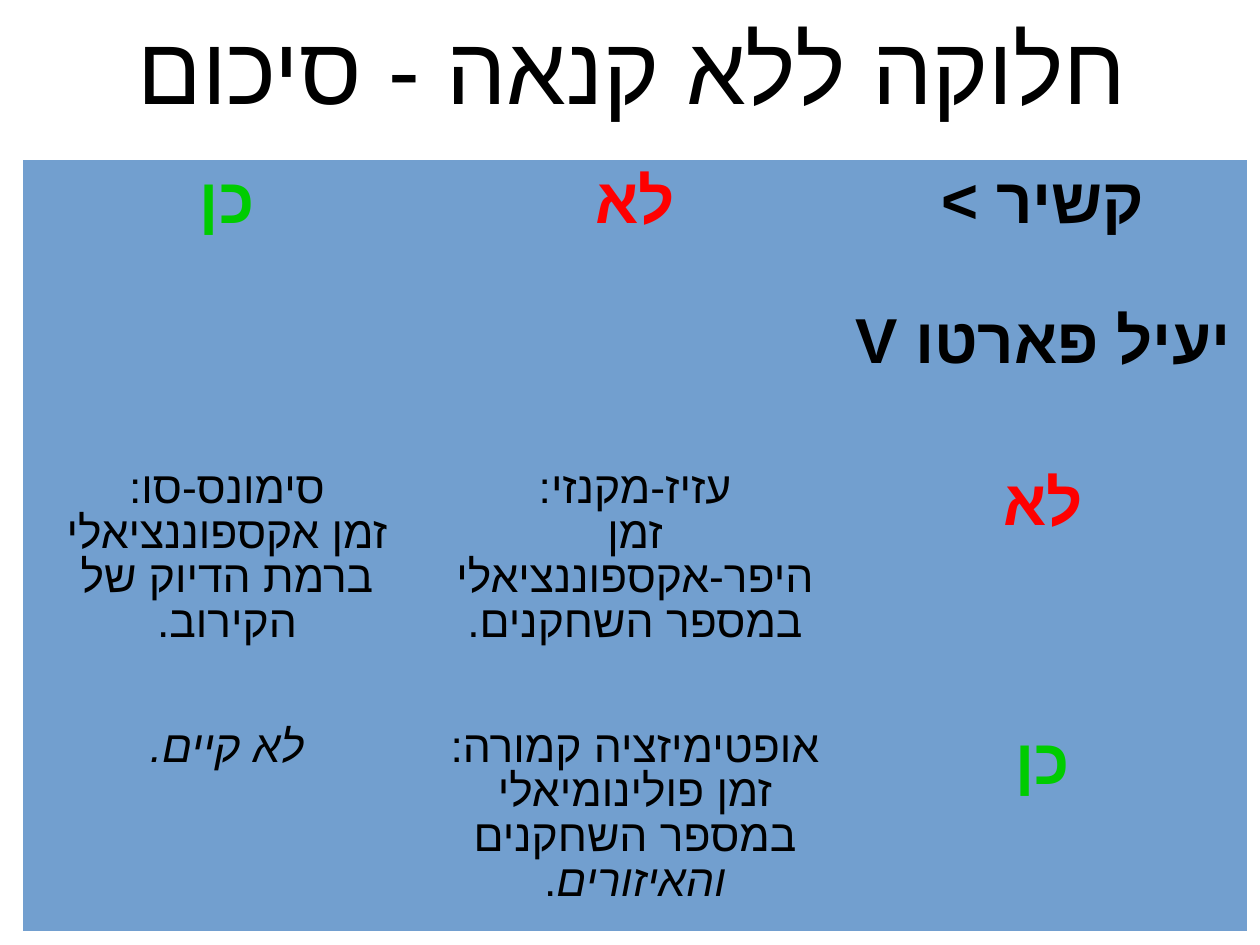
from pptx import Presentation
from pptx.dml.color import RGBColor
from pptx.enum.text import MSO_ANCHOR, PP_ALIGN
from pptx.oxml.ns import qn
from pptx.util import Emu, Pt
from lxml import etree

CENTER = PP_ALIGN.CENTER
MIDDLE = MSO_ANCHOR.MIDDLE

BLACK = RGBColor(0x00, 0x00, 0x00)
GREEN = RGBColor(0x00, 0xCC, 0x00)
RED = RGBColor(0xFF, 0x00, 0x00)
BLUE = RGBColor(0x72, 0x9F, 0xCF)
FONT = "Arial"
NO_STYLE = "{2D5ABB26-0587-4C30-8999-92F81FD0307C}"

TITLE = "חלוקה ללא קנאה - סיכום"

# Each cell: heading or body, colour, paragraphs made of (text, italic) runs.
YES = ("heading", GREEN, [[("כן", False)]])
NO = ("heading", RED, [[("לא", False)]])
AXES = ("heading", BLACK, [[("קשיר >", False)], [("יעיל פארטו V", False)]])
SIMMONS_SU = ("body", BLACK, [
    [("סימונס-סו:", False)],
    [("זמן אקספוננציאלי ברמת הדיוק של הקירוב.", False)],
])
AZIZ_MACKENZIE = ("body", BLACK, [
    [("עזיז-מקנזי:", False)],
    [("זמן היפר-אקספוננציאלי במספר השחקנים.", False)],
])
NOT_EXISTING = ("body", BLACK, [[("לא קיים.", True)]])
CONVEX = ("body", BLACK, [[
    ("אופטימיזציה קמורה: זמן פולינומיאלי במספר השחקנים ", False),
    ("והאיזורים", True),
    (".", False),
]])
SUMMARY = [
    [YES, NO, AXES],
    [SIMMONS_SU, AZIZ_MACKENZIE, NO],
    [NOT_EXISTING, CONVEX, YES],
]

# Size in points, bold, line spacing, gap between paragraphs in points
TEXT_STYLES = {
    "title": (60, False, 1.0, 0),
    "heading": (40, True, 1.0, 44),
    "body": (28, False, 0.9, 0),
}

SLIDE_SIZE = (1260, 945)
TITLE_BOX = (23, 6, 1246, 120)
TITLE_INDENT = 27
TABLE_LEFT, TABLE_TOP = 23, 160
COLUMN_WIDTH = 408
ROW_HEIGHTS = [302, 259, 210]


def px(length):
    return Emu(length * 8000)


def write_text(frame, style, color, paragraphs):
    """Fill a frame with centred right-to-left paragraphs."""
    size, bold, line_spacing, gap = TEXT_STYLES[style]
    for index, runs in enumerate(paragraphs):
        paragraph = frame.add_paragraph() if index else frame.paragraphs[0]
        paragraph.alignment = CENTER
        paragraph.line_spacing = line_spacing
        if index and gap:
            paragraph.space_before = Pt(gap)
        font = paragraph.font
        font.name, font.size, font.bold = FONT, Pt(size), bold
        font.color.rgb = color
        properties = paragraph._p.get_or_add_pPr()
        properties.set("rtl", "1")
        hebrew = etree.SubElement(properties.find(qn("a:defRPr")), qn("a:cs"))
        hebrew.set("typeface", FONT)
        for text, italic in runs:
            run = paragraph.add_run()
            run.text = text
            if italic:
                run.font.italic = True


def add_title(slide):
    frame = slide.shapes.add_textbox(*map(px, TITLE_BOX)).text_frame
    frame.word_wrap = True
    frame.vertical_anchor = MIDDLE
    write_text(frame, "title", BLACK, [[(TITLE, False)]])
    properties = frame.paragraphs[0]._p.get_or_add_pPr()
    properties.set("marL", str(px(TITLE_INDENT)))
    properties.set("indent", "0")


def add_summary(slide):
    column_count = len(SUMMARY[0])
    table = slide.shapes.add_table(
        len(SUMMARY), column_count, px(TABLE_LEFT), px(TABLE_TOP),
        px(COLUMN_WIDTH * column_count), px(sum(ROW_HEIGHTS))).table
    table.first_row = table.horz_banding = False
    table._tbl.tblPr.find(qn("a:tableStyleId")).text = NO_STYLE
    for column in table.columns:
        column.width = px(COLUMN_WIDTH)
    for row, height, contents in zip(table.rows, ROW_HEIGHTS, SUMMARY):
        row.height = px(height)
        for cell, (style, color, paragraphs) in zip(row.cells, contents):
            cell.fill.solid()
            cell.fill.fore_color.rgb = BLUE
            write_text(cell.text_frame, style, color, paragraphs)


def main():
    presentation = Presentation()
    presentation.slide_width, presentation.slide_height = map(px, SLIDE_SIZE)
    slide = presentation.slides.add_slide(presentation.slide_layouts[6])
    add_title(slide)
    add_summary(slide)
    presentation.save("out.pptx")


if __name__ == "__main__":
    main()
